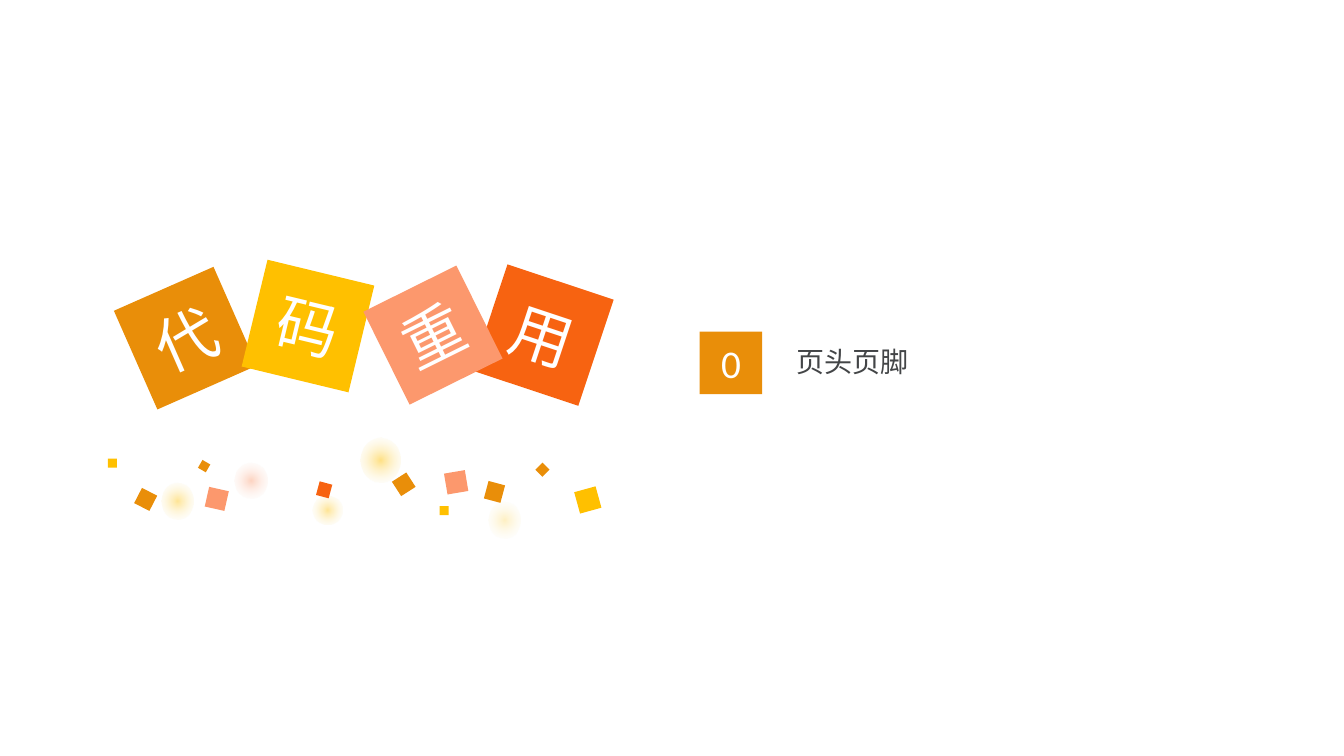
"""Build the code reuse section slide with tilted title tiles and confetti."""
from pptx import Presentation
from pptx.dml.color import RGBColor
from pptx.enum.shapes import MSO_SHAPE
from pptx.enum.text import MSO_ANCHOR, PP_ALIGN
from pptx.oxml import parse_xml
from pptx.oxml.ns import nsdecls
from pptx.util import Inches, Pt

RECTANGLE, OVAL = MSO_SHAPE.RECTANGLE, MSO_SHAPE.OVAL
MIDDLE = MSO_ANCHOR.MIDDLE
LEFT, CENTER = PP_ALIGN.LEFT, PP_ALIGN.CENTER

COLORS = {
    "white": "FFFFFF",
    "amber": "E98E09",
    "yellow": "FFC000",
    "salmon": "FC986D",
    "orange": "F76311",
    "gold glow": "FFD966",
    "peach glow": "FDC1A7",
    "grey": "434547",
}

# box (left, top, width, height), centre colour, centre opacity in percent
GLOWS = [
    ((3.1, 4.92, 0.3, 0.28), "gold glow", 70),
    ((1.6, 4.79, 0.32, 0.36), "gold glow", 70),
    ((2.33, 4.59, 0.32, 0.36), "peach glow", 70),
    ((3.58, 4.34, 0.39, 0.45), "gold glow", 80),
    ((4.84, 4.98, 0.32, 0.36), "gold glow", 40),
]

# box, rotation in degrees, colour
CONFETTI = [
    ((4.42, 4.68, 0.21, 0.21), -9.6, "salmon"),
    ((4.82, 4.79, 0.17, 0.18), 15, "amber"),
    ((1.36, 4.87, 0.17, 0.17), 27.2, "amber"),
    ((3.92, 4.72, 0.17, 0.17), -32.8, "amber"),
    ((1.07, 4.55, 0.09, 0.09), 0, "yellow"),
    ((5.72, 4.85, 0.22, 0.22), -15.4, "yellow"),
    ((4.36, 5.02, 0.09, 0.09), 0, "yellow"),
    ((2.05, 4.85, 0.2, 0.2), 12.7, "salmon"),
    ((5.33, 4.61, 0.1, 0.1), -45, "amber"),
    ((3.15, 4.79, 0.13, 0.14), 15, "orange"),
    ((1.98, 4.58, 0.09, 0.09), 30, "amber"),
]

# character, box, rotation in degrees, colour
TITLE_TILES = [
    ("代", (1.3, 2.82, 1.08, 1.07), -23.8, "amber"),
    ("用", (4.83, 2.77, 1.11, 1.11), 18.4, "orange"),
    ("码", (2.51, 2.69, 1.09, 1.09), 13.6, "yellow"),
    ("重", (3.78, 2.81, 1.03, 1.03), -26.4, "salmon"),
]

AGENDA_NUMBER = ("0", (6.94, 3.29, 0.62, 0.62))
AGENDA_LABEL = ("页头页脚", (7.8, 3.25, 4.42, 0.66))


def rgb(color):
    return RGBColor.from_string(COLORS[color])


def add_plain_shape(slide, kind, box):
    shape = slide.shapes.add_shape(kind, *map(Inches, box))
    shape.shadow.inherit = False
    shape.line.fill.background()
    return shape


def add_square(slide, box, rotation, color):
    shape = add_plain_shape(slide, RECTANGLE, box)
    shape.rotation = rotation
    shape.fill.solid()
    shape.fill.fore_color.rgb = rgb(color)
    return shape


def add_glow(slide, box, color, opacity):
    shape = add_plain_shape(slide, OVAL, box)
    shape.fill.background()
    properties = shape._element.spPr
    gradient = parse_xml(
        f'<a:gradFill {nsdecls("a")} rotWithShape="1"><a:gsLst>'
        f'<a:gs pos="0"><a:srgbClr val="{COLORS[color]}">'
        f'<a:alpha val="{opacity * 1000}"/></a:srgbClr></a:gs>'
        f'<a:gs pos="100000"><a:srgbClr val="{COLORS["white"]}">'
        '<a:alpha val="0"/></a:srgbClr></a:gs></a:gsLst>'
        '<a:path path="circle">'
        '<a:fillToRect l="50000" t="50000" r="50000" b="50000"/>'
        '</a:path></a:gradFill>'
    )
    properties.replace(properties.find("{*}noFill"), gradient)


def write_text(shape, text, size, font_name, color, alignment):
    frame = shape.text_frame
    frame.text = text
    frame.word_wrap = True
    frame.vertical_anchor = MIDDLE
    paragraph = frame.paragraphs[0]
    paragraph.alignment = alignment
    font = paragraph.runs[0].font
    font.size = Pt(size)
    font.name = font_name
    font.color.rgb = rgb(color)


def main():
    presentation = Presentation()
    presentation.slide_width = Inches(13.33)
    presentation.slide_height = Inches(7.5)
    slide = presentation.slides.add_slide(presentation.slide_layouts[6])
    slide.background.fill.solid()
    slide.background.fill.fore_color.rgb = rgb("white")

    for glow in GLOWS:
        add_glow(slide, *glow)
    for piece in CONFETTI:
        add_square(slide, *piece)
    for character, box, rotation, color in TITLE_TILES:
        tile = add_square(slide, box, rotation, color)
        write_text(tile, character, 44, "Arial", "white", CENTER)

    number, number_box = AGENDA_NUMBER
    badge = add_square(slide, number_box, 0, "amber")
    write_text(badge, number, 28, "Calibri", "white", CENTER)

    label, label_box = AGENDA_LABEL
    text_box = slide.shapes.add_textbox(*map(Inches, label_box))
    write_text(text_box, label, 20, "Calibri", "grey", LEFT)

    presentation.save("out.pptx")


if __name__ == "__main__":
    main()
